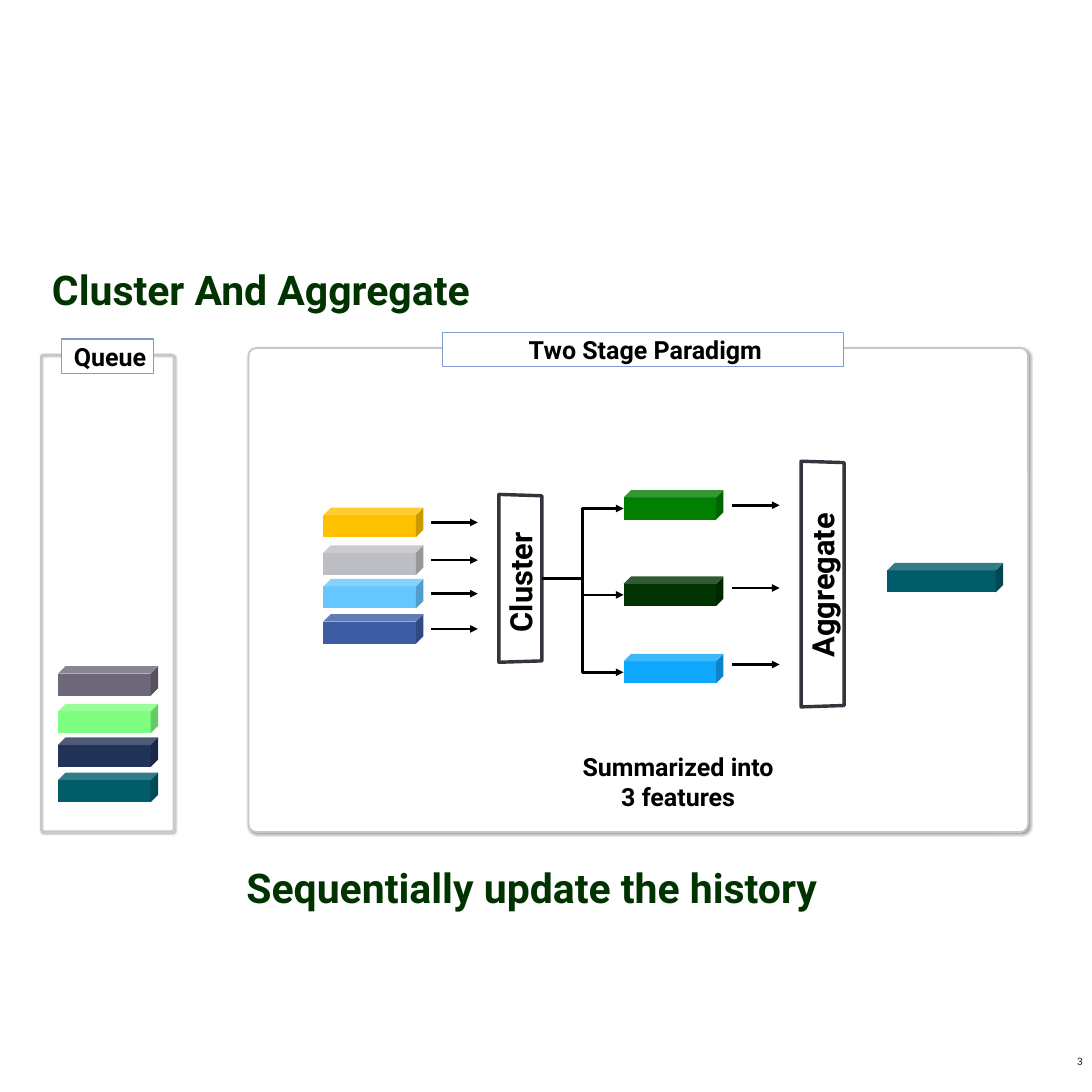
"""Build the Cluster And Aggregate slide with its queue and two-stage diagram."""
import pptx
import pptx.dml.color
import pptx.enum.shapes
import pptx.enum.text
import pptx.oxml
import pptx.util
from pptx.util import Inches

SHAPES = pptx.enum.shapes.MSO_SHAPE
CONNECTORS = pptx.enum.shapes.MSO_CONNECTOR
ALIGN = pptx.enum.text.PP_ALIGN
ANCHOR = pptx.enum.text.MSO_ANCHOR
NAMESPACE = 'xmlns:a="http://schemas.openxmlformats.org/drawingml/2006/main"'
SHADOW = (f'<a:effectLst {NAMESPACE}><a:outerShdw blurRad="50800" dist="38100" dir="2700000" '
          'algn="tl" rotWithShape="0"><a:srgbClr val="000000"><a:alpha val="40000"/>'
          '</a:srgbClr></a:outerShdw></a:effectLst>')
BLACK, DARK_GREEN, TEAL = "000000", "003300", "005C69"


def paint(color_format, color):
    color_format.rgb = pptx.dml.color.RGBColor.from_string(color)


def write(shape, lines, size, color=BLACK, bold=True, align=ALIGN.CENTER, anchor=ANCHOR.TOP, insets=None):
    frame = shape.text_frame
    frame.word_wrap = True
    frame.auto_size = pptx.enum.text.MSO_AUTO_SIZE.NONE
    frame.vertical_anchor = anchor
    if insets:
        frame.margin_left, frame.margin_top, frame.margin_right, frame.margin_bottom = map(Inches, insets)
    paragraph = frame.paragraphs[0]
    paragraph.alignment = align
    for index, line in enumerate(lines):
        if index:
            paragraph.add_line_break()
        run = paragraph.add_run()
        run.text = line
        run.font.name = "Roboto"
        run.font.size = pptx.util.Pt(size)
        run.font.bold = bold
        paint(run.font.color, color)


presentation = pptx.Presentation()
presentation.slide_width = presentation.slide_height = Inches(26.67)
slide = presentation.slides.add_slide(presentation.slide_layouts[5])
shapes = slide.shapes

title = shapes.title
title.left, title.top, title.width, title.height = map(Inches, (1.21, 6.4, 16.82, 1.32))
footer = shapes.add_textbox(*map(Inches, (5.96, 21, 14.65, 1.32)))
for heading, text in ((title, "Cluster And Aggregate"), (footer, "Sequentially update the history")):
    write(heading, [text], 72, DARK_GREEN, align=ALIGN.LEFT, anchor=ANCHOR.MIDDLE, insets=[0.06] * 4)

panels = [
    ("Queue", (1, 8.66, 3.24, 11.64), (1.5, 8.28, 2.25, 0.84)),
    ("Two Stage Paradigm", (6.07, 8.5, 19.04, 11.82), (10.8, 8.12, 9.8, 0.84)),
]
for name, panel_box, label_box in panels:
    panel = shapes.add_shape(SHAPES.ROUNDED_RECTANGLE, *map(Inches, panel_box))
    panel.adjustments[0] = 0.016
    label = shapes.add_shape(SHAPES.RECTANGLE, *map(Inches, label_box))
    for shape, line_color, width in ((panel, "C8C5CD", 3), (label, "819AD1", 2.25)):
        shape.shadow.inherit = False
        shape.fill.solid()
        paint(shape.fill.fore_color, "FEFFFE")
        paint(shape.line.color, line_color)
        shape.line.width = pptx.util.Pt(width)
    if name == "Queue":
        panel.fill.background()
    panel_properties = panel.element.spPr
    panel_properties.remove(panel_properties.find(pptx.oxml.ns.qn("a:effectLst")))
    panel_properties.append(pptx.oxml.parse_xml(SHADOW))
    write(label, [name], 44, insets=(0.13, 0.05, 0, 0.05))

stages = [
    ("Cluster", (10.66, 13.6, 4.1, 1.05), (11, 13.72, 3.42, 1.01)),
    ("Aggregate", (17.09, 13.74, 6, 1.05), (17.95, 13.79, 4.27, 1.01)),
]
for name, stage_box, label_box in stages:
    stage = shapes.add_shape(SHAPES.TRAPEZOID, *map(Inches, stage_box))
    stage.adjustments[0] = 0.032
    stage.rotation = 90
    stage.shadow.inherit = False
    stage.fill.background()
    paint(stage.line.color, "37333C")
    stage.line.width = pptx.util.Pt(6)
    label = shapes.add_textbox(*map(Inches, label_box))
    label.rotation = 270
    write(label, [name], 54)

stack_offsets = (0, 0.92, 1.74, 2.6)
queue_colors = ("6E6779", "7FFF7F", "213358", TEAL)
input_colors = ("FFC000", "BCBEC3", "65C7FD", "3C5CA4")
cubes = [(21.67, 13.75, 2.83, TEAL)]
arrows = []
for offset, queue_color, input_color in zip(stack_offsets, queue_colors, input_colors):
    cubes.append((1.42, 16.27 + offset, 2.44, queue_color))
    cubes.append((7.9, 12.4 + offset, 2.44, input_color))
    arrow_y = 12.76 + offset
    arrows.append((CONNECTORS.STRAIGHT, 10.53, arrow_y, 11.67, arrow_y))

features = [(11.97, 12.34, "007F00"), (14.08, 14.36, DARK_GREEN), (15.97, 16.23, "0EA7FC")]
for top, arrow_y, color in features:
    cubes.append((15.23, top, 2.44, color))
    arrows.append((CONNECTORS.STRAIGHT, 17.89, arrow_y, 19.04, arrow_y))
    arrows.append((CONNECTORS.ELBOW, 13.23, 14.13, 15.23, top + 0.45))

for left, top, width, color in cubes:
    cube = shapes.add_shape(SHAPES.CUBE, Inches(left), Inches(top), Inches(width), Inches(0.72))
    cube.shadow.inherit = False
    cube.fill.solid()
    paint(cube.fill.fore_color, color)
    cube.line.fill.background()

for kind, *ends in arrows:
    arrow = shapes.add_connector(kind, *map(Inches, ends))
    paint(arrow.line.color, BLACK)
    arrow.line.width = pptx.util.Pt(4.5)
    arrow.line._get_or_add_ln().append(pptx.oxml.parse_xml(f'<a:tailEnd {NAMESPACE} type="triangle"/>'))
    arrow.element.spPr.append(pptx.oxml.parse_xml(f"<a:effectLst {NAMESPACE}/>"))

summary = shapes.add_textbox(*map(Inches, (13.95, 18.31, 5.23, 1.58)))
write(summary, ["Summarized into", "3 features"], 44)
slide_number = shapes.add_textbox(*map(Inches, (26.08, 25.73, 0.59, 0.94)))
write(slide_number, ["3"], 18, "1A2028", bold=False)

presentation.save("out.pptx")
